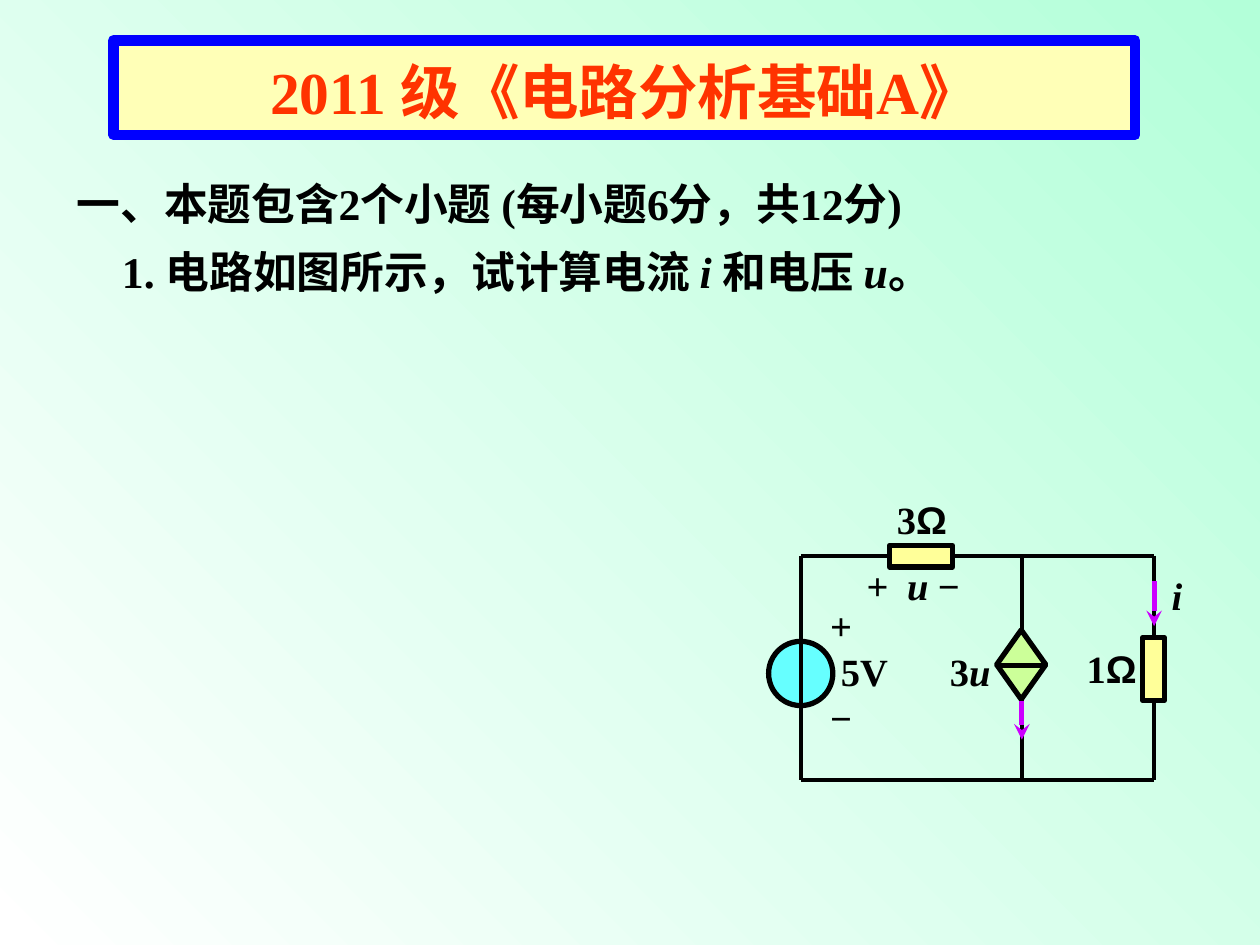
"""Build the circuit analysis exam slide."""
from dataclasses import dataclass

from lxml import etree
from pptx import Presentation
from pptx.dml.color import RGBColor
from pptx.enum import shapes, text
from pptx.oxml import ns
from pptx.util import Inches, Pt

LATIN = "Times New Roman"
BLACK, MAGENTA, YELLOW = "000000", "CC00FF", "FFFF99"
LEFT, MIDDLE, RIGHT = 6.36, 8.11, 9.16
TOP, BOTTOM = 4.41, 6.19
ALIGN = text.PP_ALIGN


@dataclass(frozen=True)
class Span:
    words: str
    italic: bool = False
    font: str = ""


@dataclass(frozen=True)
class Line:
    spans: tuple[Span, ...]
    align: text.PP_ALIGN = ALIGN.LEFT
    size: float = 22
    color: str = BLACK
    spacing: float = 1.0
    indent: float = 0
    tab: float = 0


@dataclass(frozen=True)
class Label:
    box: tuple[float, float, float, float]
    lines: tuple[Line, ...]


@dataclass(frozen=True)
class Part:
    kind: shapes.MSO_SHAPE
    box: tuple[float, float, float, float]
    fill: str


@dataclass(frozen=True)
class Wire:
    start: tuple[float, float]
    end: tuple[float, float]
    color: str = BLACK
    width: float = 2.25
    arrow: bool = False


OHM = Span("Ω", font="Arial")
U = Span("u", italic=True)
RECT = shapes.MSO_SHAPE.RECTANGLE

QUESTION = Label((0.51, 1.23, 7.48, 1.77), (
    Line((Span("一、本题包含2个小题 (每小题6分，共12分)"),), size=25, spacing=1.3),
    Line((Span("1. 电路如图所示，试计算电流 "), Span("i ", italic=True),
          Span("和电压 "), U, Span("。")), size=25, spacing=1.3, indent=0.36),
))
PARTS = (
    Part(RECT, (9.07, 5.06, 0.17, 0.5), YELLOW),
    Part(RECT, (7.06, 4.33, 0.5, 0.17), YELLOW),
    Part(shapes.MSO_SHAPE.OVAL, (6.1, 5.09, 0.51, 0.51), "66FFFF"),
    Part(shapes.MSO_SHAPE.DIAMOND, (7.91, 5, 0.39, 0.55), "CCFF99"),
)
FRAME = (
    Wire((MIDDLE, TOP), (MIDDLE, BOTTOM)),
    Wire((LEFT, BOTTOM), (RIGHT, BOTTOM)),
    Wire((LEFT, TOP), (RIGHT, TOP)),
    Wire((RIGHT, TOP), (RIGHT, BOTTOM)),
)
SOURCES_AND_CURRENTS = (
    Wire((LEFT, TOP), (LEFT, BOTTOM)),
    Wire((8.29, 5.28), (7.93, 5.28), width=3),
    Wire((RIGHT, 4.61), (RIGHT, 4.97), MAGENTA, 3, True),
    Wire((MIDDLE, 5.56), (MIDDLE, 5.87), MAGENTA, 3, True),
)
LABELS = (
    Label((7.02, 3.89, 0.78, 0.52), (Line((Span("3"), OHM)),)),
    Label((8.41, 5.07, 0.71, 0.6), (Line((Span("1"), OHM), ALIGN.RIGHT),)),
    Label((6.49, 4.73, 0.74, 1.23), (
        Line((Span("+"),)), Line((Span("5V"),), ALIGN.CENTER), Line((Span("−"),)))),
    Label((8.92, 4.49, 0.84, 0.77), (Line((Span("i", italic=True),), ALIGN.CENTER),)),
    Label((7.44, 5.09, 0.69, 0.61), (Line((Span("3"), U)),)),
    Label((6.78, 4.41, 1.18, 0.55), (Line((Span("+\t"), U, Span(" −")), tab=0.32),)),
)


def rgb(code: str) -> RGBColor:
    """Turn a hex string into a colour."""
    return RGBColor.from_string(code)


def write(frame, lines: tuple[Line, ...]) -> None:
    """Fill a text frame with styled lines."""
    frame.word_wrap = True
    for number, line in enumerate(lines):
        paragraph = frame.add_paragraph() if number else frame.paragraphs[0]
        paragraph.alignment, paragraph.line_spacing = line.align, line.spacing
        properties = paragraph._p.get_or_add_pPr()
        if line.indent:
            properties.set("marL", "0")
            properties.set("indent", str(Inches(line.indent)))
        if line.tab:
            stops = etree.SubElement(properties, ns.qn("a:tabLst"))
            etree.SubElement(stops, ns.qn("a:tab"), pos=str(Inches(line.tab)), algn="l")
        font = paragraph.font
        font.name, font.size, font.bold = LATIN, Pt(line.size), True
        font.color.rgb = rgb(line.color)
        for span in line.spans:
            run = paragraph.add_run()
            run.text = span.words
            if span.italic:
                run.font.italic = True
            if span.font:
                run.font.name = span.font


def draw_label(slide, label: Label) -> None:
    """Add a text box."""
    box = slide.shapes.add_textbox(*map(Inches, label.box))
    write(box.text_frame, label.lines)


def draw_part(slide, part: Part, outline: str = BLACK, width: float = 3):
    """Add a filled and outlined shape."""
    shape = slide.shapes.add_shape(part.kind, *map(Inches, part.box))
    shape.shadow.inherit = False
    shape.fill.solid()
    shape.fill.fore_color.rgb = rgb(part.fill)
    shape.line.color.rgb = rgb(outline)
    shape.line.width = Pt(width)
    return shape


def draw_wire(slide, wire: Wire) -> None:
    """Add a straight wire or a current arrow."""
    connector = slide.shapes.add_connector(
        shapes.MSO_CONNECTOR.STRAIGHT, *map(Inches, wire.start + wire.end))
    connector.line.color.rgb = rgb(wire.color)
    connector.line.width = Pt(wire.width)
    if wire.arrow:
        etree.SubElement(connector.line._get_or_add_ln(), ns.qn("a:tailEnd"), type="stealth")
    etree.SubElement(connector._element.spPr, ns.qn("a:effectLst"))


def draw_title(slide) -> None:
    """Add the framed course title."""
    banner = draw_part(slide, Part(RECT, (0.9, 0.32, 8.11, 0.75), "FFFFB7"), "0000FF", 6)
    frame = banner.text_frame
    frame.margin_top = frame.margin_bottom = 0
    frame.vertical_anchor = text.MSO_ANCHOR.MIDDLE
    write(frame, (Line((Span("2011 级《电路分析基础A》"),), ALIGN.CENTER, 34, "FF3300", 1.1),))


def paint_background(slide) -> None:
    """Fade from green at top right to white at bottom left."""
    fill = slide.background.fill
    fill.gradient()
    fill.gradient_angle = 225
    for stop, code in zip(fill.gradient_stops, ("B3FFD9", "FFFFFF")):
        stop.color.rgb = rgb(code)


def main() -> None:
    """Build and save the slide."""
    deck = Presentation()
    deck.slide_width, deck.slide_height = Inches(10), Inches(7.5)
    slide = deck.slides.add_slide(deck.slide_layouts[6])
    paint_background(slide)
    draw_title(slide)
    draw_label(slide, QUESTION)
    for wire in FRAME:
        draw_wire(slide, wire)
    for part in PARTS:
        draw_part(slide, part)
    for wire in SOURCES_AND_CURRENTS:
        draw_wire(slide, wire)
    for label in LABELS:
        draw_label(slide, label)
    deck.save("out.pptx")


if __name__ == "__main__":
    main()
